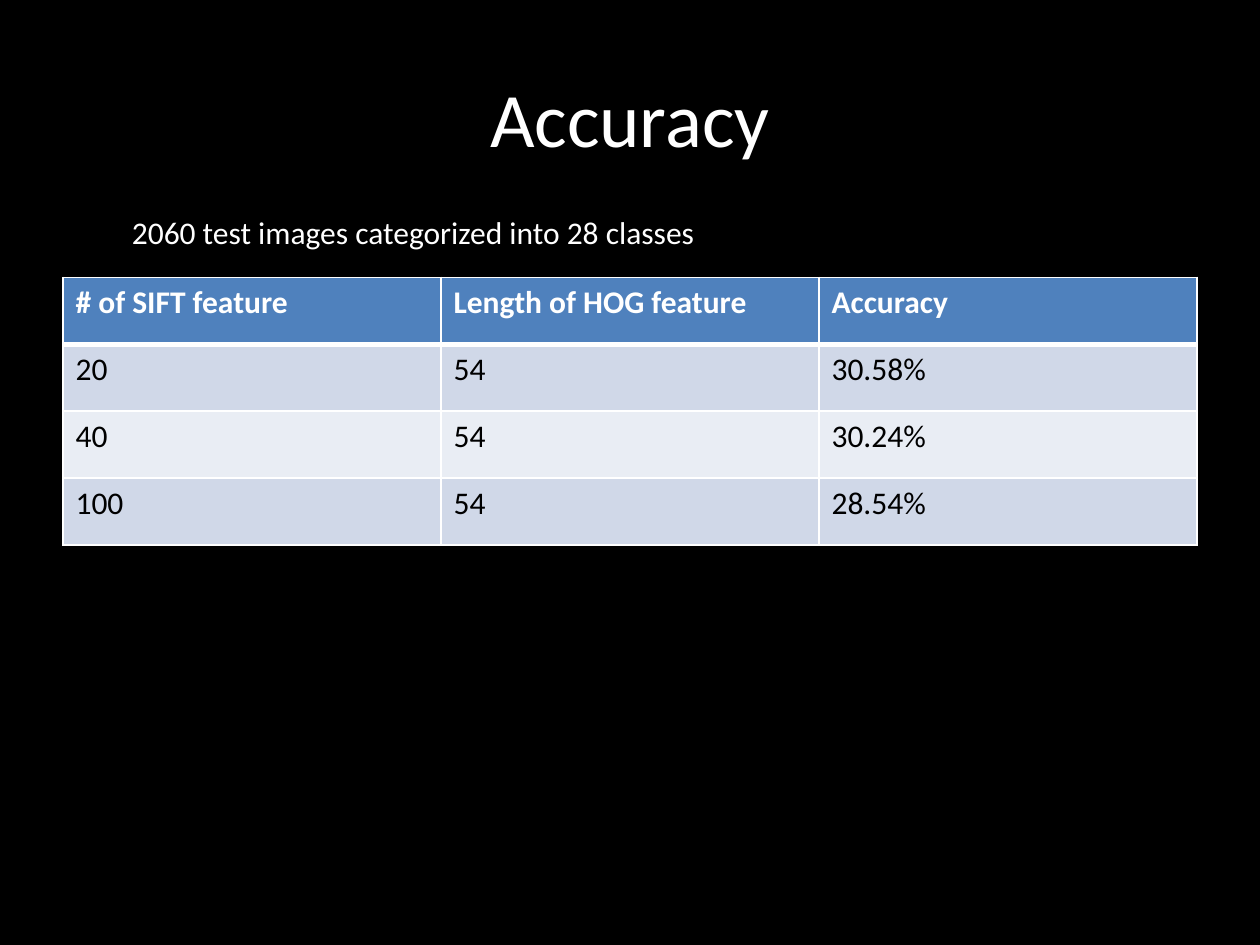
from lxml import etree
from pptx import Presentation
from pptx import util as u
from pptx.dml.color import RGBColor
from pptx.enum import text
from pptx.oxml import ns

BLACK = RGBColor(0x00, 0x00, 0x00)
WHITE = RGBColor(0xFF, 0xFF, 0xFF)
HEADER_BLUE = RGBColor(0x4F, 0x81, 0xBD)
BAND_DARK = RGBColor(0xD0, 0xD8, 0xE8)
BAND_LIGHT = RGBColor(0xE9, 0xED, 0xF4)


def write(frame, words, size, color, bold=False):
    run = frame.paragraphs[0].add_run()
    run.text = words
    run.font.name = "Calibri"
    run.font.size = u.Pt(size)
    run.font.bold = bold
    run.font.color.rgb = color


def add_border(cell, side, points):
    line = etree.SubElement(cell._tc.get_or_add_tcPr(), ns.qn(f"a:ln{side}"), w=str(u.Pt(points)))
    fill = etree.SubElement(line, ns.qn("a:solidFill"))
    etree.SubElement(fill, ns.qn("a:srgbClr"), val=str(WHITE))


deck = Presentation()
deck.slide_width = u.Cm(25.4)
deck.slide_height = u.Cm(19.05)
slide = deck.slides.add_slide(deck.slide_layouts[6])
slide.background.fill.solid()
slide.background.fill.fore_color.rgb = BLACK

heading = slide.shapes.add_textbox(u.Cm(1.27), u.Cm(0.76), u.Cm(22.86), u.Cm(3.18)).text_frame
heading.word_wrap = True
heading.vertical_anchor = text.MSO_ANCHOR.MIDDLE
heading.paragraphs[0].alignment = text.PP_ALIGN.CENTER
write(heading, "Accuracy", 44, WHITE)

results = [
    ("# of SIFT feature", "Length of HOG feature", "Accuracy"),
    ("20", "54", "30.58%"),
    ("40", "54", "30.24%"),
    ("100", "54", "28.54%"),
]
accuracy_table = slide.shapes.add_table(
    len(results), len(results[0]), u.Cm(1.27), u.Cm(5.59), u.Cm(22.86), u.Cm(5.4)
).table

for row, values in enumerate(results):
    is_header = row == 0
    band = HEADER_BLUE if is_header else BAND_DARK if row % 2 else BAND_LIGHT
    for column, value in enumerate(values):
        cell = accuracy_table.cell(row, column)
        for side in "LRTB":
            under_header = (row, side) in [(0, "B"), (1, "T")]
            add_border(cell, side, 3 if under_header else 1)
        cell.fill.solid()
        cell.fill.fore_color.rgb = band
        write(cell.text_frame, value, 18, WHITE if is_header else BLACK, is_header)

test_set = slide.shapes.add_textbox(u.Cm(2.41), u.Cm(4.17), u.Cm(18.82), u.Cm(1.02)).text_frame
test_set.word_wrap = True
test_set.auto_size = text.MSO_AUTO_SIZE.SHAPE_TO_FIT_TEXT
write(test_set, "2060 test images categorized into 28 classes", 18, WHITE)

deck.save("out.pptx")
